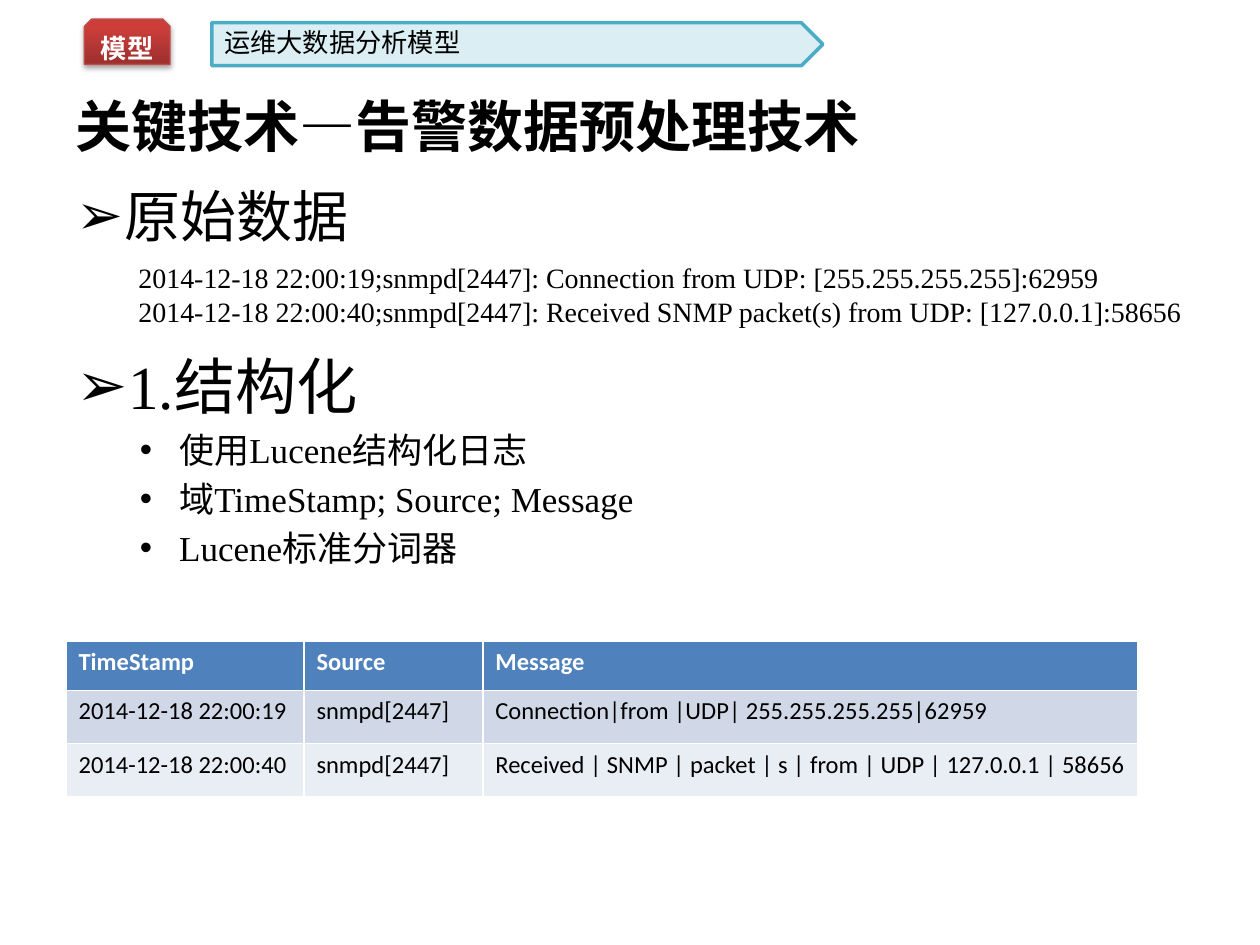
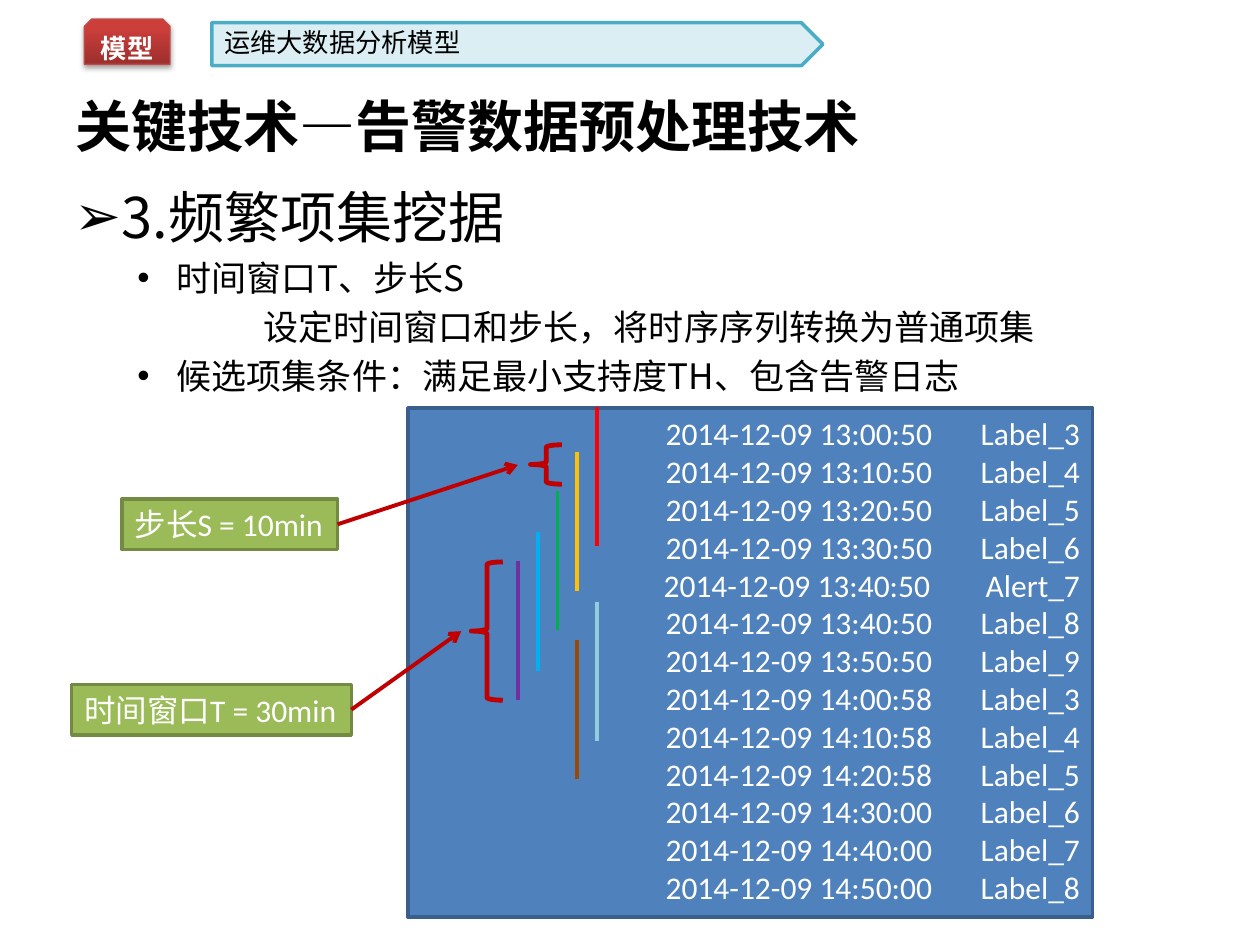
from lxml.etree import SubElement
from pptx import Presentation
from pptx.dml.color import RGBColor
from pptx.enum.shapes import MSO_CONNECTOR, MSO_SHAPE
from pptx.enum.text import MSO_ANCHOR, MSO_AUTO_SIZE, PP_ALIGN
from pptx.oxml.ns import qn
from pptx.util import Pt

BLACK = RGBColor(0x00, 0x00, 0x00)
WHITE = RGBColor(0xFF, 0xFF, 0xFF)
BLUE = RGBColor(0x4F, 0x81, 0xBD)
BLUE_EDGE = RGBColor(0x3A, 0x5F, 0x8C)
ROW_DARK = RGBColor(0xD0, 0xD8, 0xE8)
ROW_LIGHT = RGBColor(0xE9, 0xED, 0xF4)
BAND_FILL = RGBColor(0xDB, 0xEE, 0xF4)
BAND_EDGE = RGBColor(0x4B, 0xAC, 0xC6)
TAG_DARK = RGBColor(0x9C, 0x2F, 0x2D)
TAG_LIGHT = RGBColor(0xCB, 0x3E, 0x3A)
TAG_EDGE = RGBColor(0xBF, 0x4C, 0x48)
GREEN = RGBColor(0x9B, 0xBB, 0x59)
GREEN_EDGE = RGBColor(0x73, 0x8A, 0x42)
CALLOUT_RED = RGBColor(0xC0, 0x00, 0x00)

SERIF = "Times New Roman"
SANS = "Calibri"
CHINESE = "Noto Sans CJK SC"
LEADING = 1.2

TITLE = "关键技术—告警数据预处理技术"
RAW_LOGS = [
    "2014-12-18 22:00:19;snmpd[2447]: Connection from UDP: [255.255.255.255]:62959",
    "2014-12-18 22:00:40;snmpd[2447]: Received SNMP packet(s) from UDP: [127.0.0.1]:58656",
]
LOG_TABLE = [
    ["TimeStamp", "Source", "Message"],
    ["2014-12-18 22:00:19", "snmpd[2447]", "Connection|from |UDP| 255.255.255.255|62959"],
    ["2014-12-18 22:00:40", "snmpd[2447]",
     "Received | SNMP | packet | s | from | UDP | 127.0.0.1 | 58656"],
]
EVENTS = [
    ("13:00:50", "Label_3"), ("13:10:50", "Label_4"), ("13:20:50", "Label_5"),
    ("13:30:50", "Label_6"), ("13:40:50", " Alert_7"), ("13:40:50", "Label_8"),
    ("13:50:50", "Label_9"), ("14:00:58", "Label_3"), ("14:10:58", "Label_4"),
    ("14:20:58", "Label_5"), ("14:30:00", "Label_6"), ("14:40:00", "Label_7"),
    ("14:50:00", "Label_8"),
]
# Steps to the left of the first window, top, colour
WINDOWS = [
    (0, 232.6, RGBColor(0xFF, 0x00, 0x00)),
    (1, 258.5, RGBColor(0xFF, 0xC0, 0x00)),
    (2, 280.8, RGBColor(0x00, 0xB0, 0x50)),
    (3, 303.8, RGBColor(0x00, 0xB0, 0xF0)),
    (4, 320.4, RGBColor(0x70, 0x30, 0xA0)),
    (0, 344.2, RGBColor(0x93, 0xCD, 0xDD)),
    (1, 365.8, RGBColor(0x98, 0x48, 0x07)),
]
WINDOW_RIGHT, WINDOW_STEP, WINDOW_HEIGHT = 341.3, 11.35, 79.4


def write(paragraph, text, size, font=CHINESE, color=BLACK, bold=False, leading=None):
    """Fill a paragraph; leading is a multiple of the font size, fixed in points."""
    paragraph.text = text
    paragraph.font.size = Pt(size)
    paragraph.font.name = font
    paragraph.font.bold = bold
    paragraph.font.color.rgb = color
    properties = paragraph._p.pPr.find(qn("a:defRPr"))
    SubElement(properties, qn("a:ea"), typeface=CHINESE)
    if leading:
        paragraph.line_spacing = Pt(size * leading)


def write_lines(text_frame, lines, *style, align=None, **options):
    for index, line in enumerate(lines):
        paragraph = text_frame.add_paragraph() if index else text_frame.paragraphs[0]
        paragraph.alignment = align
        write(paragraph, line, *style, **options)


def place(shape, left, top, width, height):
    shape.left, shape.top = Pt(left), Pt(top)
    shape.width, shape.height = Pt(width), Pt(height)


def add_box(slide, kind, bounds, fill, edge, weight):
    shape = slide.shapes.add_shape(kind, *map(Pt, bounds))
    shape.shadow.inherit = False
    if fill is None:
        shape.fill.background()
    else:
        shape.fill.solid()
        shape.fill.fore_color.rgb = fill
    shape.line.color.rgb = edge
    shape.line.width = Pt(weight)
    return shape


def add_text(slide, bounds, lines, *style, **options):
    box = slide.shapes.add_textbox(*map(Pt, bounds))
    box.text_frame.word_wrap = True
    write_lines(box.text_frame, lines, *style, **options)


def add_line(slide, start, end, color, arrow=False):
    line = slide.shapes.add_connector(MSO_CONNECTOR.STRAIGHT, *map(Pt, (*start, *end)))
    line.line.color.rgb = color
    line.line.width = Pt(2.25)
    if arrow:
        SubElement(line.line._get_or_add_ln(), qn("a:tailEnd"), type="arrow")
    SubElement(line._element.spPr, qn("a:effectLst"))


def add_tag(slide):
    tag = add_box(slide, MSO_SHAPE.SNIP_2_SAME_RECTANGLE, (48.2, 10.8, 49, 26),
                  TAG_DARK, TAG_EDGE, 0.75)
    tag.fill.gradient()
    tag.fill.gradient_angle = 90
    for stop, position, color in zip(tag.fill.gradient_stops, (0, 0.8), (TAG_DARK, TAG_LIGHT)):
        stop.position = position
        stop.color.rgb = color
    effects = tag._element.spPr.find(qn("a:effectLst"))
    shadow = SubElement(effects, qn("a:outerShdw"), blurRad=str(Pt(3.1)),
                        dist=str(Pt(1.8)), dir="5400000", rotWithShape="0")
    shadow_color = SubElement(shadow, qn("a:srgbClr"), val=str(BLACK))
    SubElement(shadow_color, qn("a:alpha"), val="35000")
    tag.text_frame.vertical_anchor = MSO_ANCHOR.MIDDLE
    paragraph = tag.text_frame.paragraphs[0]
    paragraph.alignment = PP_ALIGN.CENTER
    write(paragraph, "模型", 15, color=WHITE, bold=True)
    paragraph.line_spacing = 1.3


def add_content_slide(presentation):
    """Add a slide with the shared title, tag and band."""
    slide = presentation.slides.add_slide(presentation.slide_layouts[1])
    title = slide.shapes.title
    place(title, 36, 31.7, 648, 80)
    title.text_frame.auto_size = MSO_AUTO_SIZE.NONE
    title.text_frame.vertical_anchor = MSO_ANCHOR.MIDDLE
    title.text_frame.paragraphs[0].alignment = PP_ALIGN.LEFT
    write(title.text_frame.paragraphs[0], TITLE, 32, SERIF, bold=True)
    add_box(slide, MSO_SHAPE.PENTAGON, (121, 13, 349.2, 24.5), BAND_FILL, BAND_EDGE, 2)
    add_text(slide, (121, 11.5, 349.2, 25.2), ["运维大数据分析模型"], 15, leading=LEADING)
    add_tag(slide)
    return slide


def format_list_item(paragraph, level, bullet, margin, indent, space):
    paragraph.level = level
    paragraph.space_before = Pt(space)
    properties = paragraph._p.get_or_add_pPr()
    properties.set("marL", str(Pt(margin)))
    properties.set("indent", str(Pt(indent)))
    if bullet:
        SubElement(properties, qn("a:buFont"), typeface="Arial")
        SubElement(properties, qn("a:buChar"), char=bullet)
    else:
        SubElement(properties, qn("a:buNone"))


def heading(text, size=32, space=2):
    return text, size, (0, "➢", 27, -27, space)


def point(text):
    return text, 20, (1, "•", 58.5, -22.5, 4)


def explanation(text):
    return text, 20, (1, None, 108, 0, 4)


def fill_body(slide, bounds, font, items):
    body = slide.placeholders[1]
    place(body, *bounds)
    frame = body.text_frame
    frame.auto_size = MSO_AUTO_SIZE.NONE
    for index, (text, size, layout) in enumerate(items):
        paragraph = frame.add_paragraph() if index else frame.paragraphs[0]
        format_list_item(paragraph, *layout)
        write(paragraph, text, size, font, leading=LEADING)


def add_log_table(slide):
    table = slide.shapes.add_table(3, 3, Pt(37.7), Pt(366.5), Pt(612.7), Pt(89)).table
    for column, width in zip(table.columns, (136, 102.2, 374.5)):
        column.width = Pt(width)
    for row, height in zip(table.rows, (28, 30.5, 30.5)):
        row.height = Pt(height)
    for row, texts, fill in zip(table.rows, LOG_TABLE, (BLUE, ROW_DARK, ROW_LIGHT)):
        header = fill == BLUE
        for cell, text in zip(row.cells, texts):
            cell.fill.solid()
            cell.fill.fore_color.rgb = fill
            write(cell.text_frame.paragraphs[0], text, 14, SANS,
                  WHITE if header else BLACK, header)


def add_callout(slide, text, bounds, target):
    """Add a green label with an arrow from its right side to the target."""
    label = add_box(slide, MSO_SHAPE.RECTANGLE, bounds, GREEN, GREEN_EDGE, 2)
    label.text_frame.word_wrap = False
    label.text_frame.vertical_anchor = MSO_ANCHOR.MIDDLE
    write_lines(label.text_frame, [text], 18, SANS, WHITE, align=PP_ALIGN.LEFT, leading=LEADING)
    left, top, width, height = bounds
    add_line(slide, (left + width, top + height / 2), target, CALLOUT_RED, arrow=True)


def build_structuring_slide(presentation):
    slide = add_content_slide(presentation)
    fill_body(slide, (36.7, 100, 648, 221), SERIF, [
        heading("原始数据"),
        heading("1.结构化", 35, 57),
        point("使用Lucene结构化日志"),
        point("域TimeStamp; Source; Message"),
        point("Lucene标准分词器"),
    ])
    add_text(slide, (72, 145.4, 625, 46), RAW_LOGS, 16, SERIF)
    add_log_table(slide)


def build_mining_slide(presentation):
    slide = add_content_slide(presentation)
    fill_body(slide, (35.3, 100.8, 648, 147), CHINESE, [
        heading("3.频繁项集挖据"),
        point("时间窗口T、步长S"),
        explanation("设定时间窗口和步长，将时序序列转换为普通项集"),
        point("候选项集条件：满足最小支持度TH、包含告警日志"),
    ])
    log = add_box(slide, MSO_SHAPE.RECTANGLE, (233.3, 233.3, 391, 290.9), BLUE, BLUE_EDGE, 2)
    log.text_frame.vertical_anchor = MSO_ANCHOR.TOP
    write_lines(log.text_frame, [f"2014-12-09 {time}\t{label}" for time, label in EVENTS],
                18, SANS, WHITE, align=PP_ALIGN.RIGHT, leading=LEADING)
    for step, top, color in WINDOWS:
        x = WINDOW_RIGHT - step * WINDOW_STEP
        add_line(slide, (x, top), (x, top + WINDOW_HEIGHT), color)
    add_callout(slide, "步长S = 10min", (69.8, 285.1, 123.1, 29), (295.9, 265.7))
    add_callout(slide, "时间窗口T = 30min", (41, 391, 159.8, 29), (263.5, 360.7))
    for bounds in ((303.1, 254.2, 18, 22.5), (269.3, 321.1, 18, 79)):
        add_box(slide, MSO_SHAPE.LEFT_BRACE, bounds, None, CALLOUT_RED, 2.75)


def main():
    presentation = Presentation()
    presentation.slide_width, presentation.slide_height = Pt(720), Pt(540)
    build_structuring_slide(presentation)
    build_mining_slide(presentation)
    presentation.save("out.pptx")


if __name__ == "__main__":
    main()
